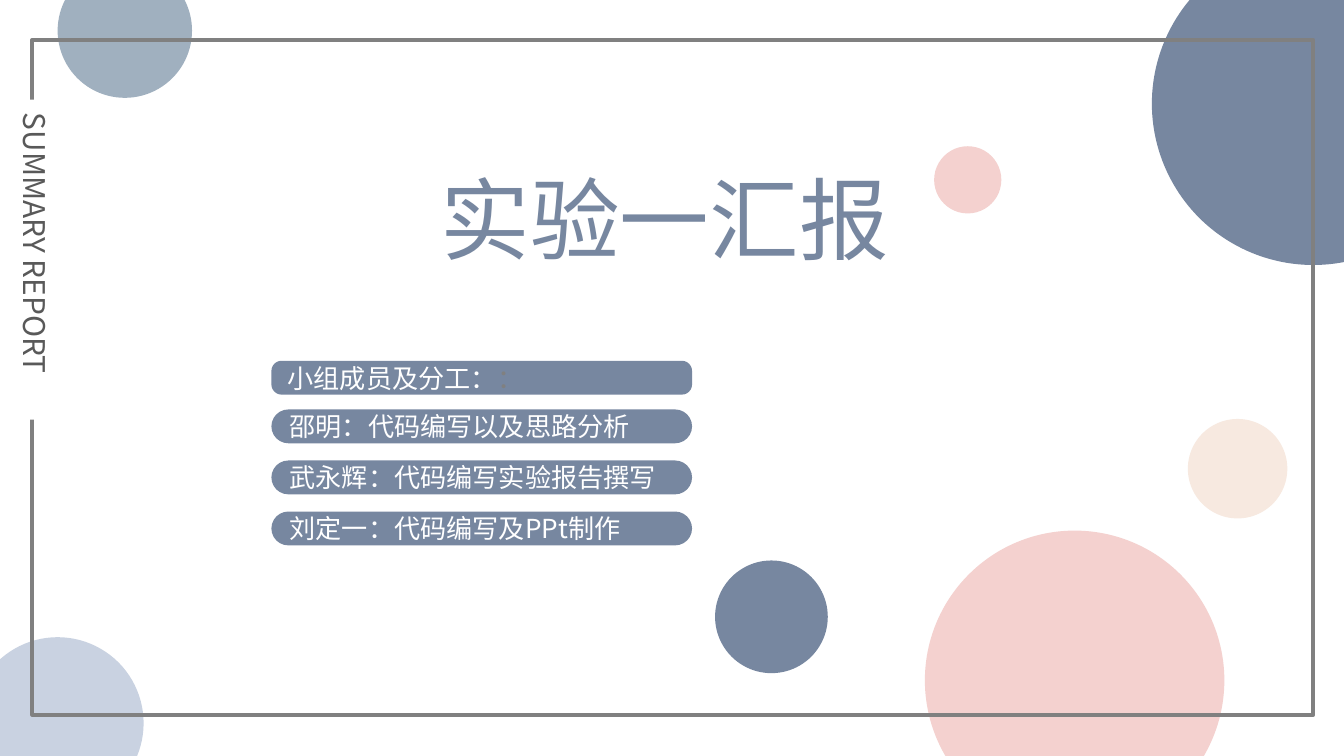
from dataclasses import dataclass

from lxml import etree
from pptx import Presentation
from pptx import util as u
from pptx.dml.color import RGBColor
from pptx.enum import shapes, text
from pptx.oxml.ns import qn


@dataclass(frozen=True)
class Theme:
    font: str = "Noto Sans CJK SC"
    slate: str = "7787A0"
    rose: str = "F4D1CF"
    cream: str = "F7E9E0"
    mist: str = "A0B0BF"
    sky: str = "C9D2E1"
    gray: str = "808080"
    dark: str = "595959"
    white: str = "FFFFFF"
    title: int = 48
    label: int = 16
    body: int = 14


T = Theme()
KIND = shapes.MSO_SHAPE


def write(shape, *runs, size=T.body, align=text.PP_ALIGN.LEFT,
          anchor=text.MSO_ANCHOR.MIDDLE, wrap=True, side=0.25):
    """Fill a shape with one paragraph of (words, colour) runs."""
    frame = shape.text_frame
    frame.auto_size = text.MSO_AUTO_SIZE.NONE
    frame.word_wrap = wrap
    frame.vertical_anchor = anchor
    frame.margin_left = frame.margin_right = u.Cm(side)
    para = frame.paragraphs[0]
    para.alignment = align
    for words, color in runs:
        run = para.add_run()
        run.text = words
        run.font.size = u.Pt(size)
        run.font.name = T.font
        run.font.color.rgb = RGBColor.from_string(color)
        east = etree.SubElement(run.font._element, qn("a:ea"))
        east.set("typeface", T.font)


def draw(slide, kind, box, fill=None, line=None):
    """Add a flat shape in a box of left, top, width, height in cm."""
    shape = slide.shapes.add_shape(kind, *map(u.Cm, box))
    shape.shadow.inherit = False
    if fill:
        shape.fill.solid()
        shape.fill.fore_color.rgb = RGBColor.from_string(fill)
    else:
        shape.fill.background()
    if line:
        shape.line.color.rgb = RGBColor.from_string(line)
        shape.line.width = u.Pt(2.25)
    else:
        shape.line.fill.background()
    return shape


def add_dots(slide, dots):
    """Circles given by centre, diameter and colour."""
    for x, y, size, color in dots:
        draw(slide, KIND.OVAL, (x - size / 2, y - size / 2, size, size), color)


def add_title(slide, box, words):
    """Title on one line, with no side margins so that it fits its box."""
    title = slide.shapes.title
    title.left, title.top, title.width, title.height = map(u.Cm, box)
    write(title, (words, T.slate), size=T.title, side=0,
          align=text.PP_ALIGN.CENTER, anchor=text.MSO_ANCHOR.TOP)


def add_frame(slide, box, words):
    """Outline with a sideways label that breaks its left edge."""
    left, top, _, _ = box
    draw(slide, KIND.RECTANGLE, box, line=T.gray)
    wide, high = 6.05, 0.94
    mid_x, mid_y = left + 0.05, top + 4.15
    label = draw(slide, KIND.RECTANGLE,
                 (mid_x - wide / 2, mid_y - high / 2, wide, high), T.white)
    label.rotation = 90
    write(label, (words, T.dark), size=T.label, wrap=False,
          anchor=text.MSO_ANCHOR.TOP)


def add_team(slide, box, head, tasks):
    """Heading bar, then one evenly spaced pill for each member."""
    left, top, wide, high = box
    bar, first = 0.64, 0.92
    step = (high - bar - first) / (len(tasks) - 1)
    rows = [(top, 0.3, head)]
    rows += [(top + first + i * step, 0.5, [(task, T.white)])
             for i, task in enumerate(tasks)]
    for y, curve, runs in rows:
        pill = draw(slide, KIND.ROUNDED_RECTANGLE, (left, y, wide, bar), T.slate)
        pill.adjustments[0] = curve
        write(pill, *runs)


def main():
    deck = Presentation()
    deck.slide_width, deck.slide_height = u.Cm(25.4), u.Cm(14.29)
    slide = deck.slides.add_slide(deck.slide_layouts[5])

    # Circles behind the frame
    add_dots(slide, [
        (24.82, 1.96, 6.1, T.slate),
        (20.31, 12.86, 5.66, T.rose),
        (23.39, 8.86, 1.88, T.cream),
        (2.36, 0.58, 2.54, T.mist),
        (1.09, 13.67, 3.25, T.sky),
        (14.58, 11.66, 2.13, T.slate),
        (18.29, 3.4, 1.27, T.rose),
    ])

    # Frame, title and team
    add_frame(slide, (0.61, 0.76, 24.21, 12.75), "SUMMARY REPORT")
    add_title(slide, (8.08, 2.97, 8.97, 2.31), "实验一汇报")
    add_team(slide, (5.13, 6.82, 7.95, 3.49),
             [("小组成员及分工：", T.white), ("：", T.gray)],
             ["邵明：代码编写以及思路分析",
              "武永辉：代码编写实验报告撰写",
              "刘定一：代码编写及PPt制作"])

    deck.save("out.pptx")


if __name__ == "__main__":
    main()
